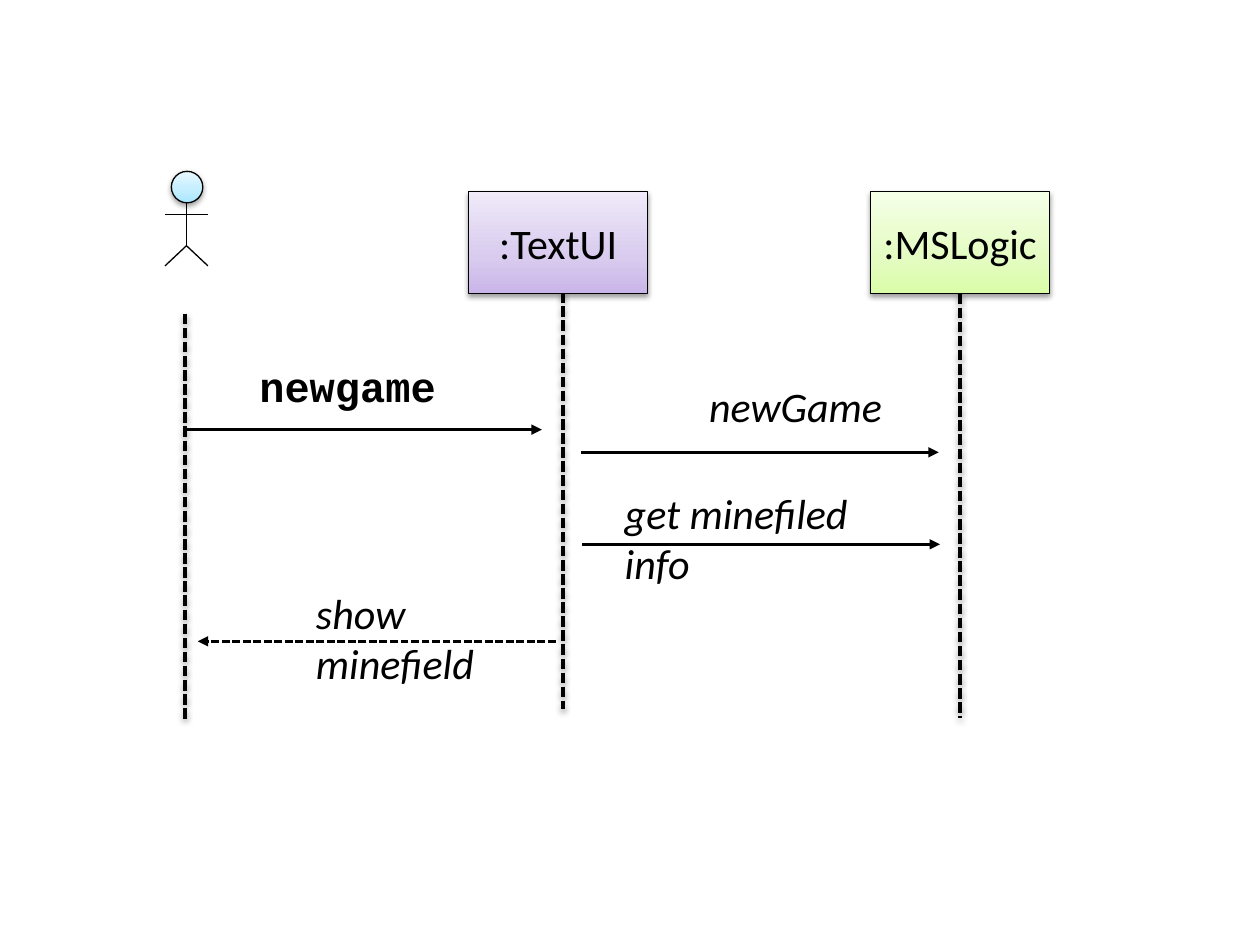
from copy import deepcopy

from lxml import etree
from pptx import Presentation
from pptx.dml.color import RGBColor
from pptx.enum.dml import MSO_LINE
from pptx.enum.shapes import MSO_CONNECTOR, MSO_SHAPE
from pptx.enum.text import MSO_ANCHOR, MSO_AUTO_SIZE, PP_ALIGN
from pptx.oxml.ns import qn
from pptx.util import Inches, Pt

STRAIGHT = MSO_CONNECTOR.STRAIGHT
RECTANGLE, OVAL = MSO_SHAPE.RECTANGLE, MSO_SHAPE.OVAL
DASH = MSO_LINE.SQUARE_DOT
LEFT, CENTER = PP_ALIGN.LEFT, PP_ALIGN.CENTER
MIDDLE = MSO_ANCHOR.MIDDLE
GROW = MSO_AUTO_SIZE.SHAPE_TO_FIT_TEXT
BOTTOM_SIDE = 2

COLORS = {
    "ink": "000000",
    "violet": ("C9B5E8", "D8CBEE", "F0EAF9"),
    "green": ("DAFDA7", "E4FCC2", "F5FFE7"),
    "blue": ("A7E6FF", "C1EDFF", "E7F8FF"),
}
GRADIENT_POSITIONS = (0, 0.35, 1)


def rgb(value):
    return RGBColor.from_string(value)


def set_effects(element, shadow):
    effects = etree.SubElement(element.spPr, qn("a:effectLst"))
    if shadow:
        outer = etree.SubElement(effects, qn("a:outerShdw"), blurRad="40000",
                                 dist="20000", dir="5400000", rotWithShape="0")
        color = etree.SubElement(outer, qn("a:srgbClr"), val=COLORS["ink"])
        etree.SubElement(color, qn("a:alpha"), val="38000")


def write(frame, text, font="Calibri", bold=False, italic=False, align=LEFT):
    paragraph = frame.paragraphs[0]
    paragraph.alignment = align
    paragraph.space_before = Pt(0)
    run = paragraph.add_run()
    run.text = text
    run.font.name = font
    run.font.size = Pt(24)
    run.font.bold = bold
    run.font.italic = italic
    run.font.color.rgb = rgb(COLORS["ink"])


def add_line(shapes, start, end, width=0.75, dashed=False, arrow=False,
             shadow=False):
    line = shapes.add_connector(STRAIGHT, *map(Inches, start + end))
    line.line.color.rgb = rgb(COLORS["ink"])
    line.line.width = Pt(width)
    if dashed:
        line.line.dash_style = DASH
    if arrow:
        outline = line._element.spPr.find(qn("a:ln"))
        etree.SubElement(outline, qn("a:tailEnd"), type="triangle")
    set_effects(line._element, shadow)
    return line


def add_gradient_shape(shapes, kind, box, colors):
    shape = shapes.add_shape(kind, *map(Inches, box))
    shape.fill.gradient()
    shape.fill.gradient_angle = 90
    first_stop = shape._element.spPr.find(".//" + qn("a:gs"))
    first_stop.addnext(deepcopy(first_stop))
    stops = shape.fill.gradient_stops
    for stop, position, color in zip(stops, GRADIENT_POSITIONS, colors):
        stop.position = position
        stop.color.rgb = rgb(color)
    shape.line.color.rgb = rgb(COLORS["ink"])
    shape.line.width = Pt(0.75)
    set_effects(shape._element, shadow=True)
    return shape


def add_participant(shapes, left, text, colors):
    participant = add_gradient_shape(shapes, RECTANGLE,
                                     (left, 1.52, 1.42, 0.81), colors)
    frame = participant.text_frame
    frame.word_wrap = False
    frame.vertical_anchor = MIDDLE
    frame.margin_top = frame.margin_bottom = Inches(0.2)
    write(frame, text, align=CENTER)
    return participant


def add_lifeline(shapes, x, top, bottom):
    return add_line(shapes, (x, top), (x, bottom), width=2, dashed=True,
                    shadow=True)


def add_message(shapes, start_x, end_x, y, label_box, text, dashed=False,
                **style):
    add_line(shapes, (start_x, y), (end_x, y), width=1.5, dashed=dashed,
             arrow=True)
    label = shapes.add_textbox(*map(Inches, label_box))
    label.text_frame.word_wrap = True
    label.text_frame.auto_size = GROW
    write(label.text_frame, text, **style)


def add_actor(shapes, x):
    actor = shapes.add_group_shape().shapes
    left, right, hip, foot = x - 0.17, x + 0.17, 1.95, 2.11
    limbs = (
        ((x, 1.53), (x, hip)),
        ((left, 1.7), (right, 1.7)),
        ((x, hip), (left, foot)),
        ((x, hip), (right, foot)),
    )
    for start, end in limbs:
        add_line(actor, start, end)
    add_gradient_shape(actor, OVAL, (x - 0.12, 1.36, 0.25, 0.25),
                       COLORS["blue"])


def main():
    deck = Presentation()
    deck.slide_width, deck.slide_height = Inches(10), Inches(7.5)
    shapes = deck.slides.add_slide(deck.slide_layouts[6]).shapes

    add_lifeline(shapes, 1.47, 2.49, 5.73)
    add_lifeline(shapes, 4.47, 2.32, 5.63)
    add_participant(shapes, 3.72, ":TextUI", COLORS["violet"])
    add_message(shapes, 1.47, 4.3, 3.41, (1.96, 2.81, 1.76, 0.5), "newgame",
                font="Courier New", bold=True)
    add_message(shapes, 4.41, 1.57, 5.09, (2.41, 4.61, 2, 0.91),
                "show minefield", dashed=True, italic=True)
    add_actor(shapes, 1.48)
    logic = add_participant(shapes, 6.91, ":MSLogic", COLORS["green"])
    logic_lifeline = add_lifeline(shapes, 7.62, 2.33, 5.7)
    logic_lifeline.begin_connect(logic, BOTTOM_SIDE)
    add_message(shapes, 4.61, 7.45, 3.59, (5.53, 2.97, 1.6, 0.5), "newGame",
                italic=True)
    add_message(shapes, 4.62, 7.46, 4.32, (4.86, 3.82, 2.16, 0.91),
                "get minefiled info", italic=True)

    deck.save("out.pptx")


if __name__ == "__main__":
    main()
